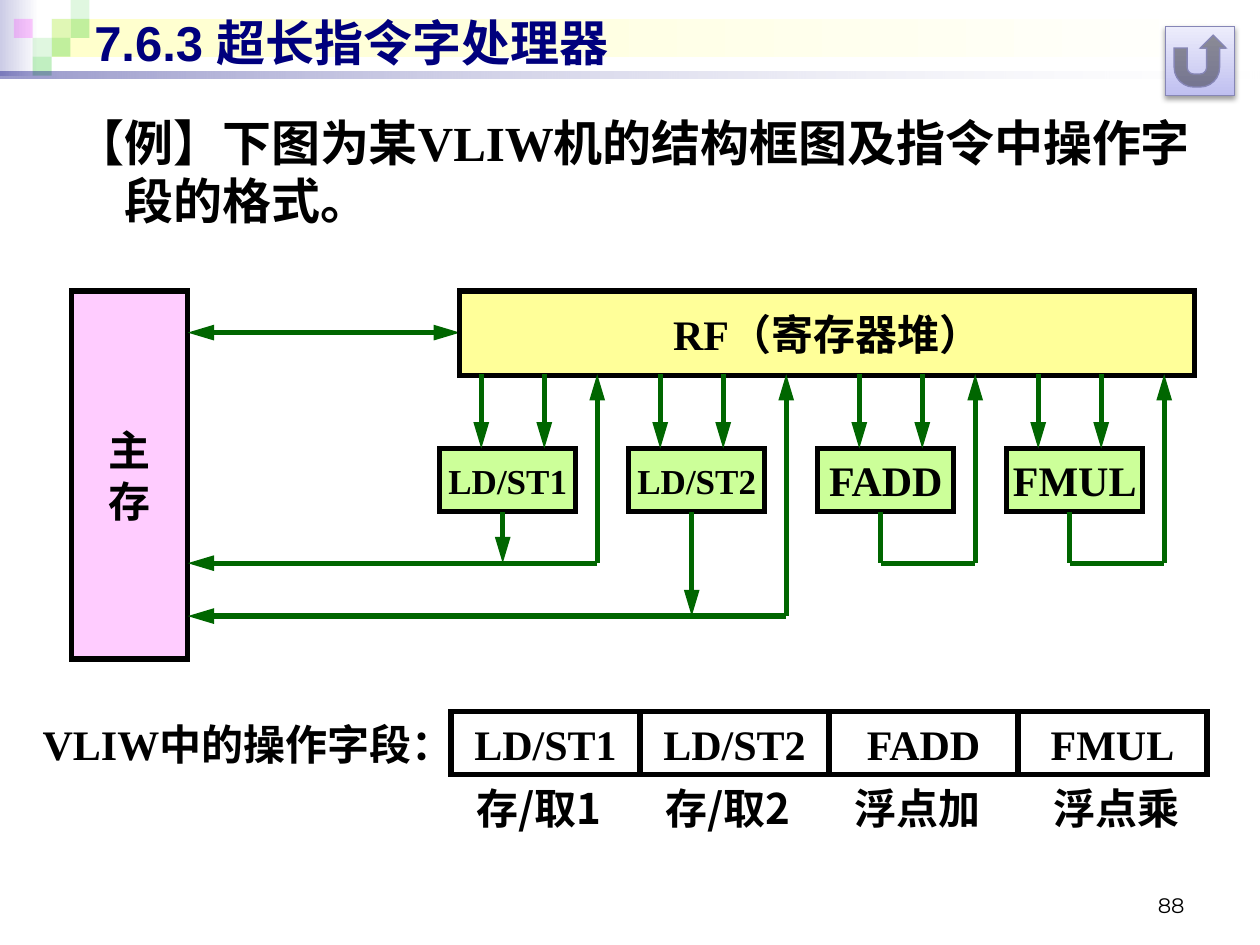
from lxml import etree
from pptx import Presentation
from pptx.dml.color import RGBColor
from pptx.enum.shapes import MSO_CONNECTOR, MSO_SHAPE
from pptx.enum.text import MSO_ANCHOR, PP_ALIGN
from pptx.oxml.ns import qn
from pptx.util import Inches, Pt

RECT, RETURN = MSO_SHAPE.RECTANGLE, MSO_SHAPE.ACTION_BUTTON_RETURN
STRAIGHT = MSO_CONNECTOR.STRAIGHT
LEFT, CENTER, RIGHT = PP_ALIGN.LEFT, PP_ALIGN.CENTER, PP_ALIGN.RIGHT
TOP, MIDDLE, BOTTOM = MSO_ANCHOR.TOP, MSO_ANCHOR.MIDDLE, MSO_ANCHOR.BOTTOM

BLACK = RGBColor(0x00, 0x00, 0x00)
WHITE = RGBColor(0xFF, 0xFF, 0xFF)
NAVY = RGBColor(0x00, 0x00, 0x7D)
LILAC = RGBColor(0xCC, 0xCC, 0xE6)
CREAM = RGBColor(0xFF, 0xFF, 0xCC)
GREEN = RGBColor(0x33, 0xCC, 0x33)
MAGENTA = RGBColor(0xFF, 0x00, 0xFF)
PINK = RGBColor(0xFF, 0xCC, 0xFF)
YELLOW = RGBColor(0xFF, 0xFF, 0x99)
LIME = RGBColor(0xCC, 0xFF, 0x99)
WIRE = RGBColor(0x00, 0x66, 0x00)
BUTTON_LOW = RGBColor(0xBF, 0xBF, 0xF0)
BUTTON_TOP = RGBColor(0xED, 0xED, 0xFB)
BUTTON_EDGE = RGBColor(0x86, 0x86, 0xB6)
SERIF, SANS, CJK = "Times New Roman", "Arial", "Noto Sans CJK SC"

prs = Presentation()
prs.slide_width, prs.slide_height = Inches(10), Inches(7.5)
slide = prs.slides.add_slide(prs.slide_layouts[6])
shapes = slide.shapes


def box(x, y, w, h, text="", size=24, font=SERIF, asian=SANS, color=BLACK,
        bold=True, align=CENTER, anchor=MIDDLE, wrap=True, fill=None,
        edge=None, alphas=(), kind=None):
    """Add a text box, or a shape when kind is given; two fills make a gradient."""
    place = [Inches(v) for v in (x, y, w, h)]
    if kind is None:
        shape = shapes.add_textbox(*place)
    else:
        shape = shapes.add_shape(kind, *place)
        shape.shadow.inherit = False
        if fill is None:
            shape.fill.background()
        elif len(fill) == 1:
            shape.fill.solid()
            shape.fill.fore_color.rgb = fill[0]
        else:
            shape.fill.gradient()
            shape.fill.gradient_angle = 0
            for stop, tone in zip(shape.fill.gradient_stops, fill):
                stop.color.rgb = tone
        tones = shape._element.spPr.iter(qn("a:srgbClr"))
        for tone, alpha in zip(list(tones), alphas):
            etree.SubElement(tone, qn("a:alpha"), val=str(alpha * 1000))
        if edge is None:
            shape.line.fill.background()
        else:
            shape.line.color.rgb = edge
            shape.line.width = Pt(3)
            etree.SubElement(
                shape.line._get_or_add_ln(), qn("a:miter"), lim="800000")
    if text:
        frame = shape.text_frame
        frame.text = text
        frame.word_wrap = wrap
        frame.vertical_anchor = anchor
        for para in frame.paragraphs:
            para.alignment = align
            for run in para.runs:
                run.font.size, run.font.name, run.font.bold = Pt(size), font, bold
                run.font.color.rgb = color
                etree.SubElement(run.font._element, qn("a:ea"), typeface=asian)
    return shape


def wire(x1, y1, x2, y2, head=False, tail=True):
    """Add a straight wire with optional arrowheads at its start and end."""
    link = shapes.add_connector(
        STRAIGHT, Inches(x1), Inches(y1), Inches(x2), Inches(y2))
    link.line.color.rgb = WIRE
    link.line.width = Pt(3)
    etree.SubElement(link._element.spPr, qn("a:effectLst"))
    ends = link.line._get_or_add_ln()
    for tag, shown in (("a:headEnd", head), ("a:tailEnd", tail)):
        if shown:
            etree.SubElement(ends, qn(tag), type="triangle", w="med", len="lg")


# Header band
box(0, 0, 0.31, 0.6, kind=RECT, fill=(LILAC, WHITE))
box(0.41, 0.15, 9.55, 0.3, kind=RECT, fill=(CREAM, WHITE))
TILE = 0.15
for col, row, tone, alpha in (
        (2, 1, GREEN, 15), (3, 0, GREEN, 15), (3, 1, GREEN, 30),
        (1, 2, GREEN, 15), (0, 1, MAGENTA, 20), (2, 2, GREEN, 30),
        (1, 3, GREEN, 30)):
    box(0.11 + col * TILE, row * TILE, TILE, TILE, kind=RECT,
        fill=(tone,), alphas=(alpha,))
box(0, 0.57, 10, 0.05, kind=RECT, fill=(NAVY, WHITE), alphas=(40, 10))

# Page number, title and task
box(7.17, 6.83, 2.33, 0.5, "88", 12, "Montserrat", bold=False,
    align=RIGHT, anchor=BOTTOM)
box(0.65, 0.05, 9, 0.57, "7.6.3 超长指令字处理器", 28, SANS, color=NAVY,
    align=LEFT)
task = box(0.5, 0.84, 9.15, 1.18,
           "【例】下图为某VLIW机的结构框图及指令中操作字段的格式。", 28,
           align=LEFT, anchor=TOP)
props = task.text_frame.paragraphs[0]._p.get_or_add_pPr()
props.set("marL", str(Inches(0.39)))
props.set("indent", str(-Inches(0.39)))

# Main memory and register file
box(0.57, 2.31, 0.92, 2.92, "主\n存", kind=RECT, fill=(PINK,), edge=BLACK)
box(0.24, 5.61, 3.7, 0.59, "VLIW中的操作字段：", align=LEFT)
wire(1.49, 2.64, 3.65, 2.64, head=True)
box(3.65, 2.31, 5.83, 0.67, "RF（寄存器堆）", kind=RECT, fill=(YELLOW,), edge=BLACK)

# Units with their wires, then the instruction fields below
STEP, BUS, ROOF, FLOOR = 1.5, 2.97, 3.56, 4.06
units = (  # name, size, first input, return level, into memory, label, label x
    ("LD/ST1", 20, 3.82, 4.47, True, "存/取1", 3.48),
    ("LD/ST2", 20, 5.24, 4.89, True, "存/取2", 4.98),
    ("FADD", 24, 6.82, 4.47, False, "浮点加", 6.48),
    ("FMUL", 24, 8.24, 4.47, False, "浮点乘", 8.06))
for i, (name, size, feed, low, store, label, spot) in enumerate(units):
    x = 3.49 + i * STEP
    out, back = x + 0.5, x + 1.25
    box(x, ROOF, 1.08, 0.5, name, size, wrap=False, kind=RECT,
        fill=(LIME,), edge=BLACK)
    for pin in (feed, feed + 0.5):
        wire(pin, BUS, pin, ROOF)
    wire(out, FLOOR, out, low, tail=store)
    if store:
        wire(back, low, 1.49, low)
    else:
        wire(out, low, back, low, tail=False)
    wire(back, low, back, BUS)
    box(3.58 + i * STEP, 5.65, STEP, 0.5, name, kind=RECT, edge=BLACK)
    box(spot, 6.16, 1.6, 0.5, label, font=CJK, asian=CJK)

# Return button with a soft shadow
button = box(9.25, 0.21, 0.55, 0.55, kind=RETURN,
             fill=(BUTTON_LOW, BUTTON_TOP), edge=BUTTON_EDGE)
button.fill.gradient_angle = 90
button.line.width = Pt(0.75)
glow = etree.SubElement(
    button._element.spPr.find(qn("a:effectLst")), qn("a:outerShdw"),
    blurRad=str(Pt(3.1)), dist=str(Pt(1.6)), dir="5400000", rotWithShape="0")
shade = etree.SubElement(glow, qn("a:srgbClr"), val="000000")
etree.SubElement(shade, qn("a:alpha"), val="38000")

prs.save("out.pptx")
